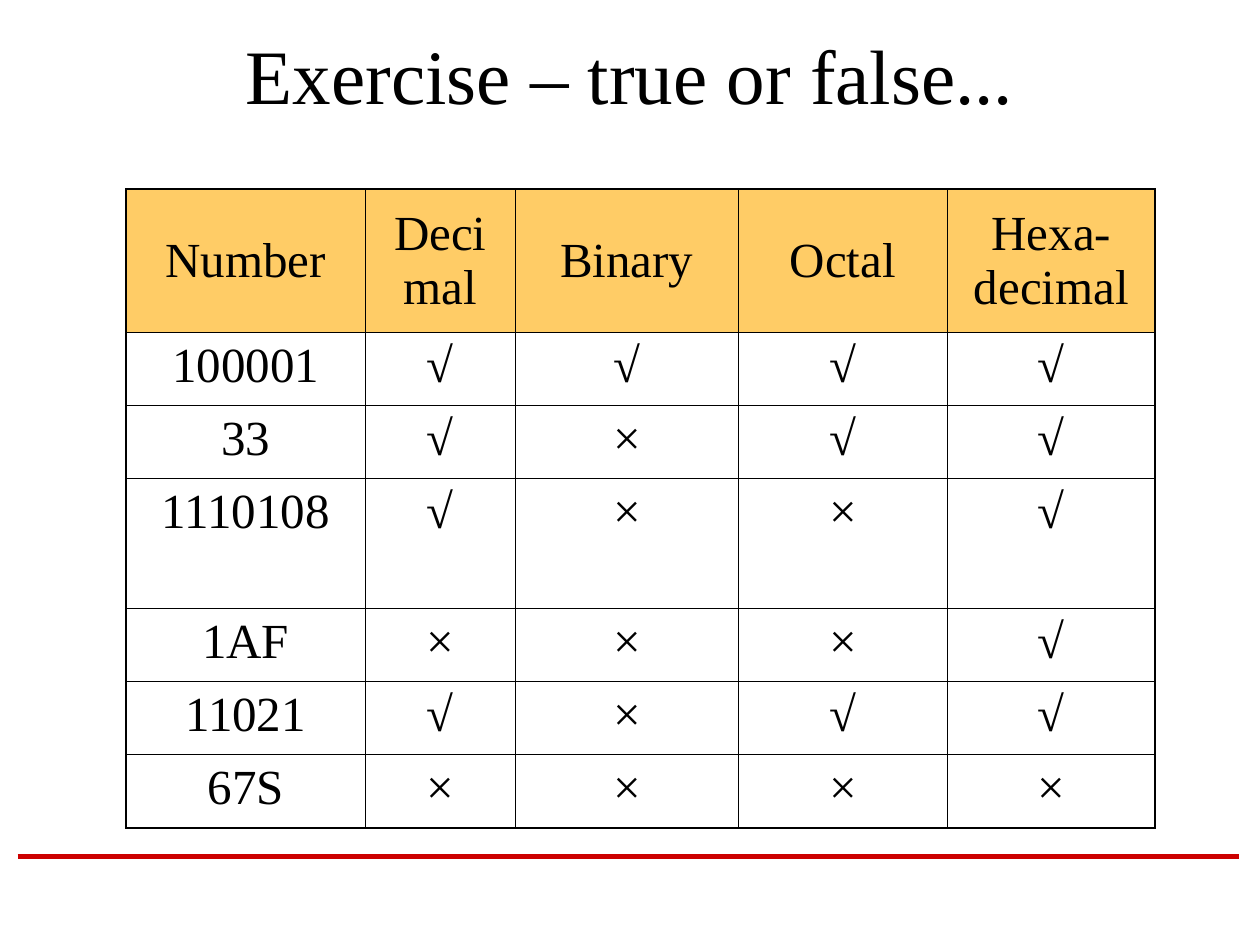
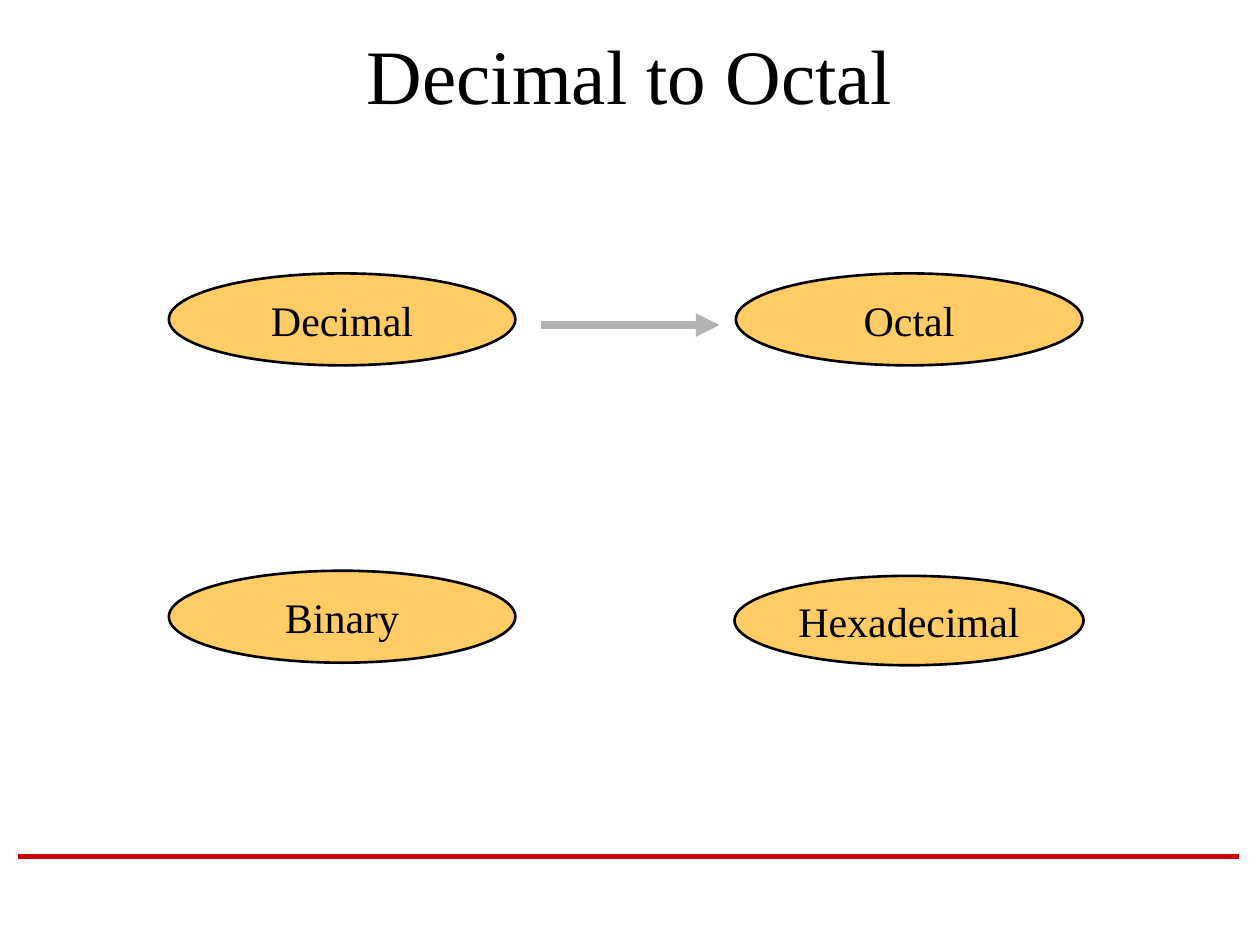
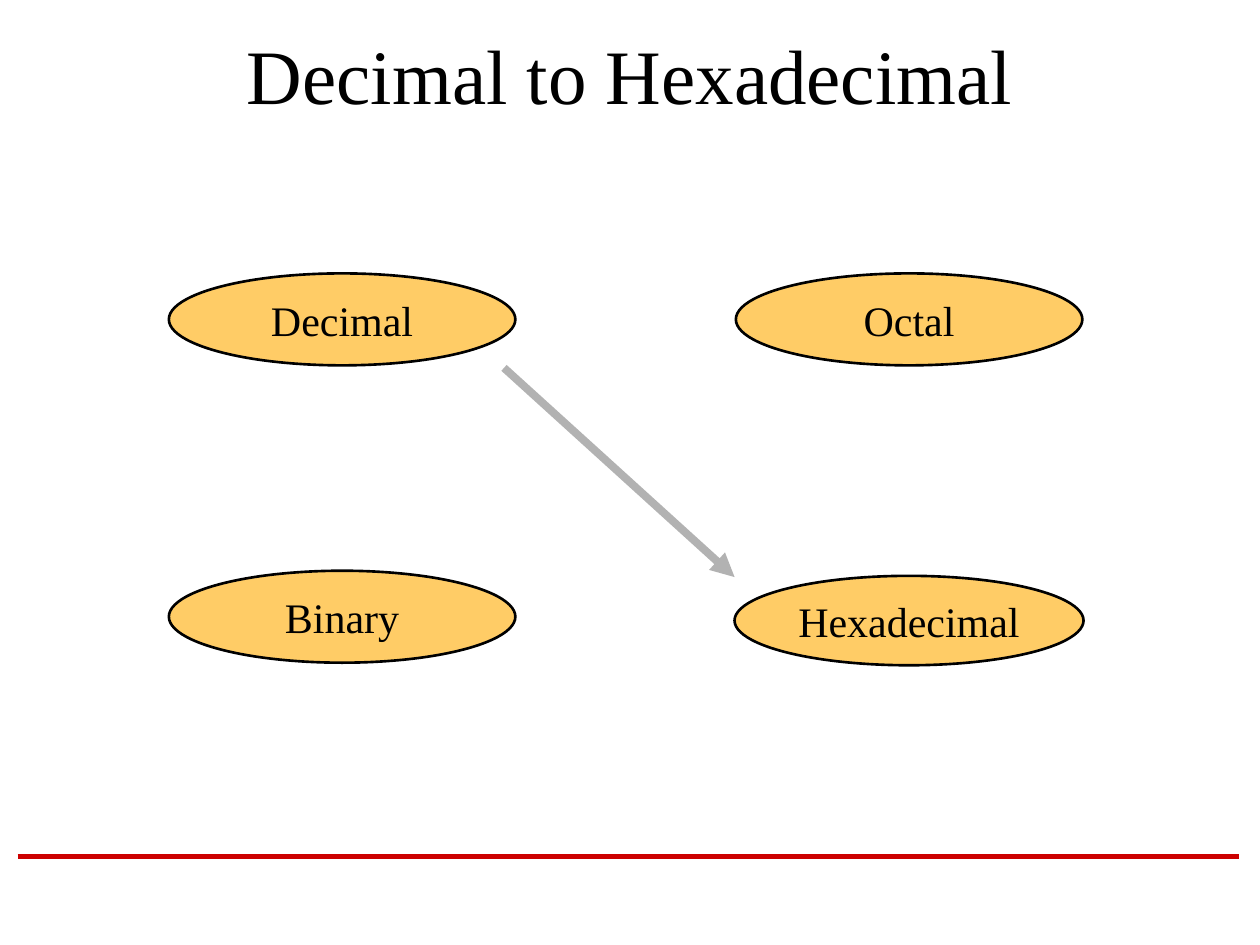
from dataclasses import dataclass

from lxml.etree import SubElement
from pptx import Presentation
from pptx.dml.color import RGBColor
from pptx.enum.shapes import MSO_CONNECTOR, MSO_SHAPE
from pptx.enum.text import MSO_ANCHOR, PP_ALIGN
from pptx.oxml.ns import qn
from pptx.presentation import Presentation as Deck
from pptx.slide import Slide
from pptx.table import _Cell as Cell
from pptx.text.text import TextFrame
from pptx.util import Inches, Length, Pt

# Shared look
FONT = "Times New Roman"
BLACK, RED, AMBER, GREY = "000000", "CC0000", "FFCC66", "B2B2B2"
TITLE_SIZE, TABLE_SIZE, LABEL_SIZE = 44, 28, 24
INNER_BORDER, OUTER_BORDER = 0.45, 1.08

# Slide grid
SLIDE_WIDTH, SLIDE_HEIGHT = Inches(10), Inches(7.5)
GRID_COLUMNS, GRID_ROWS = 10, 7.5


@dataclass(frozen=True)
class Box:
    """A rectangle in grid columns and rows."""
    left: float
    top: float
    width: float
    height: float

    def lengths(self) -> tuple[Length, ...]:
        return (across(self.left), down(self.top),
                across(self.width), down(self.height))


@dataclass(frozen=True)
class NumberSystem:
    name: str
    box: Box


@dataclass(frozen=True)
class Line:
    start: tuple[float, float]
    end: tuple[float, float]
    color: str
    width: float
    arrow: bool = False


@dataclass(frozen=True)
class Conversion:
    title: str
    arrow: Line


TITLE_BOX = Box(0.75, 0.17, 8.5, 0.83)
FOOTER_LINE = Line((0.14, 6.8), (9.83, 6.8), RED, 3)

# Exercise table
TABLE_LEFT, TABLE_TOP = 1, 1.5
COLUMN_WIDTHS = (1.9, 1.19, 1.77, 1.66, 1.65)
ROW_HEIGHTS = (1.14, 0.58, 0.58, 1.03, 0.58, 0.58, 0.58)
HEADINGS = ("Number", "Decimal", "Binary", "Octal", "Hexa-\vdecimal")
ANSWERS = {
    "100001": "√√√√",
    "33": "√×√√",
    "1110108": "√××√",
    "1AF": "×××√",
    "11021": "√×√√",
    "67S": "××××",
}

# Conversion diagrams
NUMBER_SYSTEMS = (
    NumberSystem("Hexadecimal", Box(5.83, 4.57, 2.77, 0.71)),
    NumberSystem("Decimal", Box(1.34, 2.17, 2.75, 0.73)),
    NumberSystem("Octal", Box(5.84, 2.17, 2.75, 0.73)),
    NumberSystem("Binary", Box(1.34, 4.53, 2.75, 0.73)),
)
CONVERSIONS = (
    Conversion("Decimal to Octal",
               Line((4.29, 2.58), (5.71, 2.58), GREY, 4.5, arrow=True)),
    Conversion("Decimal to Hexadecimal",
               Line((4, 2.92), (5.83, 4.58), GREY, 4.5, arrow=True)),
)


def across(columns: float) -> Length:
    return Length(round(SLIDE_WIDTH * columns / GRID_COLUMNS))


def down(rows: float) -> Length:
    return Length(round(SLIDE_HEIGHT * rows / GRID_ROWS))


def rgb(color: str) -> RGBColor:
    return RGBColor.from_string(color)


def write(frame: TextFrame, text: str, size: float) -> None:
    """Put one centred paragraph in a text frame."""
    frame.text = text
    paragraph = frame.paragraphs[0]
    paragraph.alignment = PP_ALIGN.CENTER
    for run in paragraph.runs:
        for name, value in {"name": FONT, "size": Pt(size)}.items():
            setattr(run.font, name, value)
        run.font.color.rgb = rgb(BLACK)


def draw_line(slide: Slide, line: Line) -> None:
    connector = slide.shapes.add_connector(
        MSO_CONNECTOR.STRAIGHT,
        across(line.start[0]), down(line.start[1]),
        across(line.end[0]), down(line.end[1]))
    connector.line.color.rgb = rgb(line.color)
    connector.line.width = Pt(line.width)
    if line.arrow:
        SubElement(connector.line._get_or_add_ln(), qn("a:tailEnd"), type="triangle")
    SubElement(connector._element.spPr, qn("a:effectLst"))


def add_titled_slide(presentation: Deck, title: str) -> Slide:
    slide = presentation.slides.add_slide(presentation.slide_layouts[6])
    draw_line(slide, FOOTER_LINE)
    frame = slide.shapes.add_textbox(*TITLE_BOX.lengths()).text_frame
    for name, value in {"word_wrap": True, "vertical_anchor": MSO_ANCHOR.MIDDLE}.items():
        setattr(frame, name, value)
    write(frame, title, TITLE_SIZE)
    return slide


def draw_border(cell: Cell, side: str, width: float) -> None:
    border = SubElement(cell._tc.get_or_add_tcPr(), qn(f"a:ln{side}"), w=str(Pt(width)))
    fill = SubElement(border, qn("a:solidFill"))
    SubElement(fill, qn("a:srgbClr"), val=BLACK)


def draw_exercise_table(slide: Slide) -> None:
    lines = [HEADINGS] + [(number, *marks) for number, marks in ANSWERS.items()]
    box = Box(TABLE_LEFT, TABLE_TOP, sum(COLUMN_WIDTHS), sum(ROW_HEIGHTS))
    table = slide.shapes.add_table(len(lines), len(HEADINGS), *box.lengths()).table
    table.first_row = table.horz_banding = False
    for column, width in zip(table.columns, COLUMN_WIDTHS):
        column.width = across(width)
    for row, height in zip(table.rows, ROW_HEIGHTS):
        row.height = down(height)

    last_row, last_column = len(lines) - 1, len(HEADINGS) - 1
    for row_index, line in enumerate(lines):
        for column_index, text in enumerate(line):
            cell = table.cell(row_index, column_index)
            write(cell.text_frame, text, TABLE_SIZE)
            outer_sides = {"L": column_index == 0, "R": column_index == last_column,
                           "T": row_index == 0, "B": row_index == last_row}
            for side, is_outer in outer_sides.items():
                draw_border(cell, side, OUTER_BORDER if is_outer else INNER_BORDER)
            if row_index == 0:
                cell.vertical_anchor = MSO_ANCHOR.MIDDLE
                cell.fill.solid()
                cell.fill.fore_color.rgb = rgb(AMBER)
            else:
                cell.fill.background()


def draw_number_system(slide: Slide, system: NumberSystem) -> None:
    shape = slide.shapes.add_shape(MSO_SHAPE.OVAL, *system.box.lengths())
    shape.shadow.inherit = False
    shape.fill.solid()
    shape.fill.fore_color.rgb = rgb(AMBER)
    shape.line.color.rgb = rgb(BLACK)
    shape.line.width = Pt(1.5)
    frame = shape.text_frame
    for name, value in {"word_wrap": False, "vertical_anchor": MSO_ANCHOR.MIDDLE}.items():
        setattr(frame, name, value)
    write(frame, system.name, LABEL_SIZE)


def main() -> None:
    presentation = Presentation()
    presentation.slide_width, presentation.slide_height = SLIDE_WIDTH, SLIDE_HEIGHT

    # Exercise
    draw_exercise_table(add_titled_slide(presentation, "Exercise – true or false..."))

    # One diagram for each conversion
    for conversion in CONVERSIONS:
        slide = add_titled_slide(presentation, conversion.title)
        for system in NUMBER_SYSTEMS:
            draw_number_system(slide, system)
        draw_line(slide, conversion.arrow)

    presentation.save("out.pptx")


if __name__ == "__main__":
    main()
